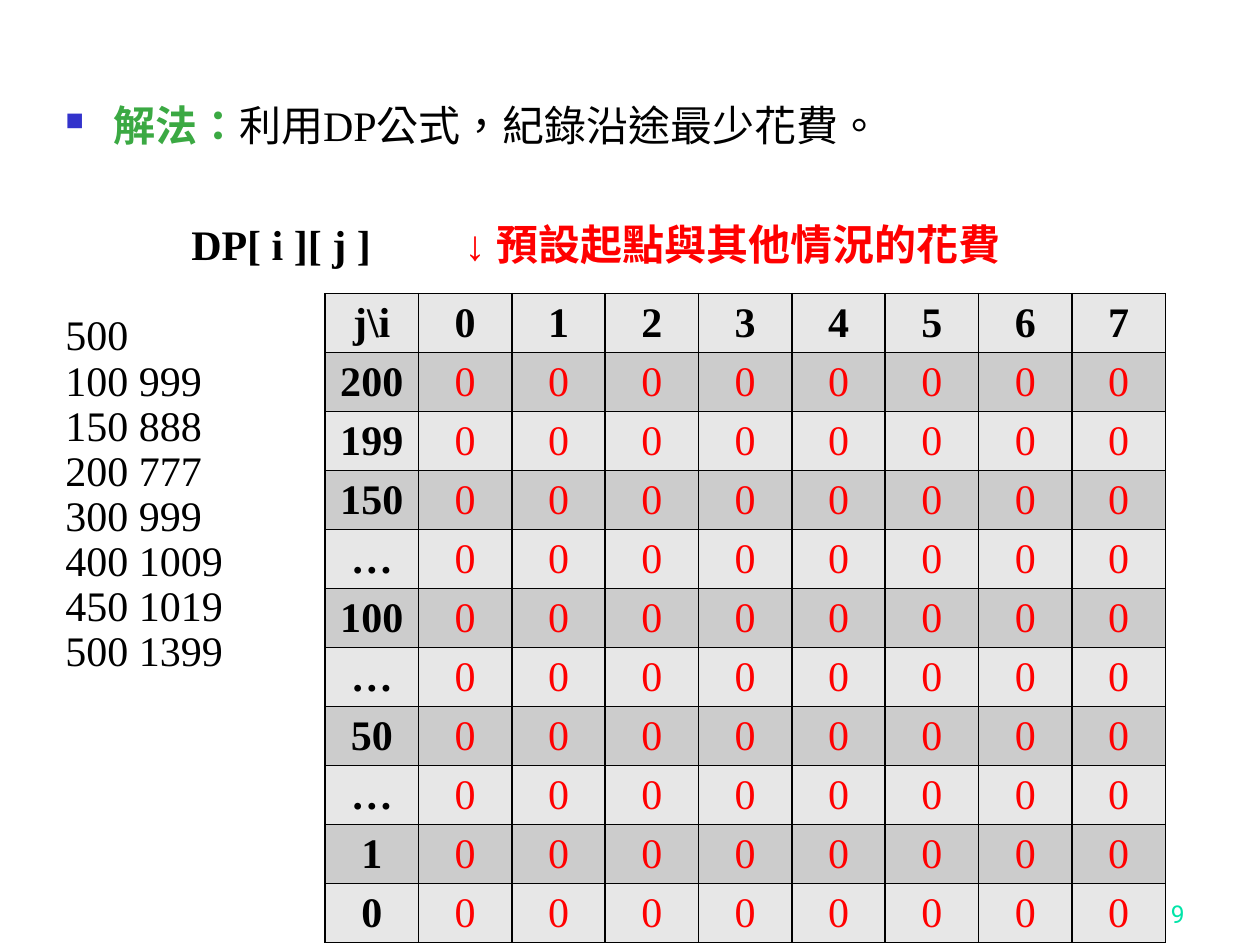
from lxml.etree import SubElement as Sub
from pptx import Presentation
from pptx.dml.color import RGBColor as Rgb
from pptx.enum.text import MSO_ANCHOR as Anchor, PP_ALIGN as Align
from pptx.oxml.ns import qn
from pptx.util import Inches, Pt

SERIF = "Times New Roman"
BLACK, RED, GREEN = "000000", "FF0000", "3BA943"
BANDS = ("E7E7E7", "CCCCCC")
COSTS = ["500", "100 999", "150 888", "200 777", "300 999",
         "400 1009", "450 1019", "500 1399"]
LABELS = ["200", "199", "150", "…", "100", "…", "50", "…", "1", "0"]


def paint(part, hue):
    """Give a font or fill a solid colour."""
    fill = getattr(part, "fill", part)
    fill.solid()
    fill.fore_color.rgb = Rgb.from_string(hue)


def add_run(para, text, hue=BLACK, lang="en-US", **style):
    """Add one run with its language and font settings."""
    run = para.add_run()
    run.text = text
    run._r.get_or_add_rPr().set("lang", lang)
    for key, value in ({"name": SERIF, "size": Pt(24), "bold": False} | style).items():
        setattr(run.font, key, value)
    paint(run.font, hue)


def set_para(para, **style):
    """Set paragraph attributes from a dict."""
    for key, value in style.items():
        setattr(para, key, value)


def add_box(slide, left, top, width, height):
    """Add a wrapping text box and return its frame."""
    frame = slide.shapes.add_textbox(*map(Inches, (left, top, width, height))).text_frame
    frame.word_wrap = True
    return frame


def add_bullet(para):
    """Give a paragraph a small blue square and a hanging indent."""
    props = para._p.get_or_add_pPr()
    props.set("marL", str(Inches(0.38)))
    props.set("indent", str(-Inches(0.38)))
    Sub(Sub(props, qn("a:buClr")), qn("a:srgbClr"), val="3333CC")
    Sub(props, qn("a:buSzPct"), val="60000")
    Sub(props, qn("a:buChar"), char="■")


def add_tabs(para, *stops):
    """Set left tab stops, in inches."""
    tabs = Sub(para._p.get_or_add_pPr(), qn("a:tabLst"))
    for stop in stops:
        Sub(tabs, qn("a:tab"), pos=str(Inches(stop)), algn="l")


def add_body(slide, left, top, width, height):
    """Place the solution line, the table heading and the cost list."""
    frame = add_box(slide, left, top, width, height)
    intro = frame.paragraphs[0]
    add_bullet(intro)
    set_para(intro, line_spacing=Pt(28))
    add_run(intro, "解法：", GREEN, "zh-TW", bold=True)
    add_run(intro, "利用DP公式，紀錄沿途最少花費。", lang="zh-TW")

    head = frame.add_paragraph()
    add_tabs(head, 1, 3.17)
    set_para(head, line_spacing=Pt(29), space_before=Pt(39))
    add_run(head, "\tDP[ i ][ j ]\t", bold=True)
    add_run(head, "↓ 預設起點與其他情況的花費", RED, "zh-TW", bold=True)

    for row, cost in enumerate(COSTS):
        para = frame.add_paragraph()
        set_para(para, line_spacing=Pt(25.8), space_before=Pt(0 if row else 26))
        add_run(para, cost)


def add_edges(cell):
    """Draw thin black borders round a cell."""
    props = cell._tc.get_or_add_tcPr()
    for side in "LRTB":
        line = Sub(props, qn(f"a:ln{side}"), w=str(Pt(1)))
        Sub(Sub(line, qn("a:solidFill")), qn("a:srgbClr"), val=BLACK)


def add_grid(slide, left, top, width, height):
    """Place the table of starting costs."""
    rows = [["j\\i", *map(str, range(8))]] + [[label] + ["0"] * 8 for label in LABELS]
    box = map(Inches, (left, top, width, height))
    table = slide.shapes.add_table(len(rows), len(rows[0]), *box).table
    for r, row in enumerate(rows):
        for c, text in enumerate(row):
            cell = table.cell(r, c)
            add_edges(cell)
            paint(cell, BANDS[r % 2])
            cell.margin_bottom = Pt(1.3)
            para = cell.text_frame.paragraphs[0]
            set_para(para, alignment=Align.CENTER)
            title = r == 0 or c == 0
            add_run(para, text, BLACK if title else RED, bold=title)


def add_number(slide, left, top, width, height):
    """Place the page number."""
    frame = add_box(slide, left, top, width, height)
    frame.vertical_anchor = Anchor.BOTTOM
    para = frame.paragraphs[0]
    set_para(para, alignment=Align.RIGHT)
    add_run(para, "9", "00E4A8", name="Roboto", size=Pt(14))


def main():
    """Build and save the slide."""
    deck = Presentation()
    deck.slide_width, deck.slide_height = Inches(10), Inches(7.5)
    slide = deck.slides.add_slide(deck.slide_layouts[6])
    add_number(slide, 7.42, 6.92, 2.08, 0.5)
    add_body(slide, 0.42, 0.75, 8.83, 6.15)
    add_grid(slide, 2.58, 2.33, 6.67, 4.46)
    deck.save("out.pptx")


if __name__ == "__main__":
    main()
